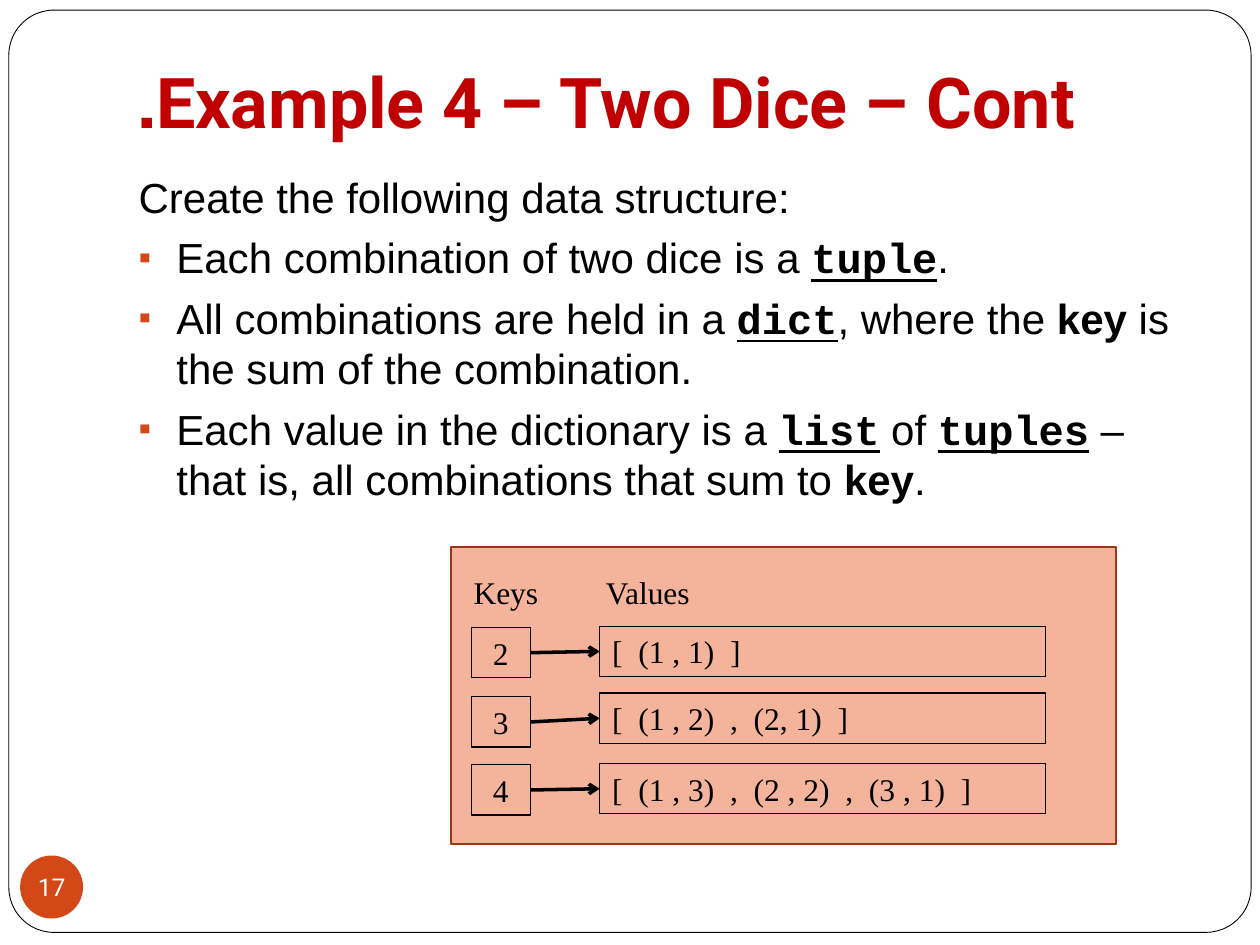
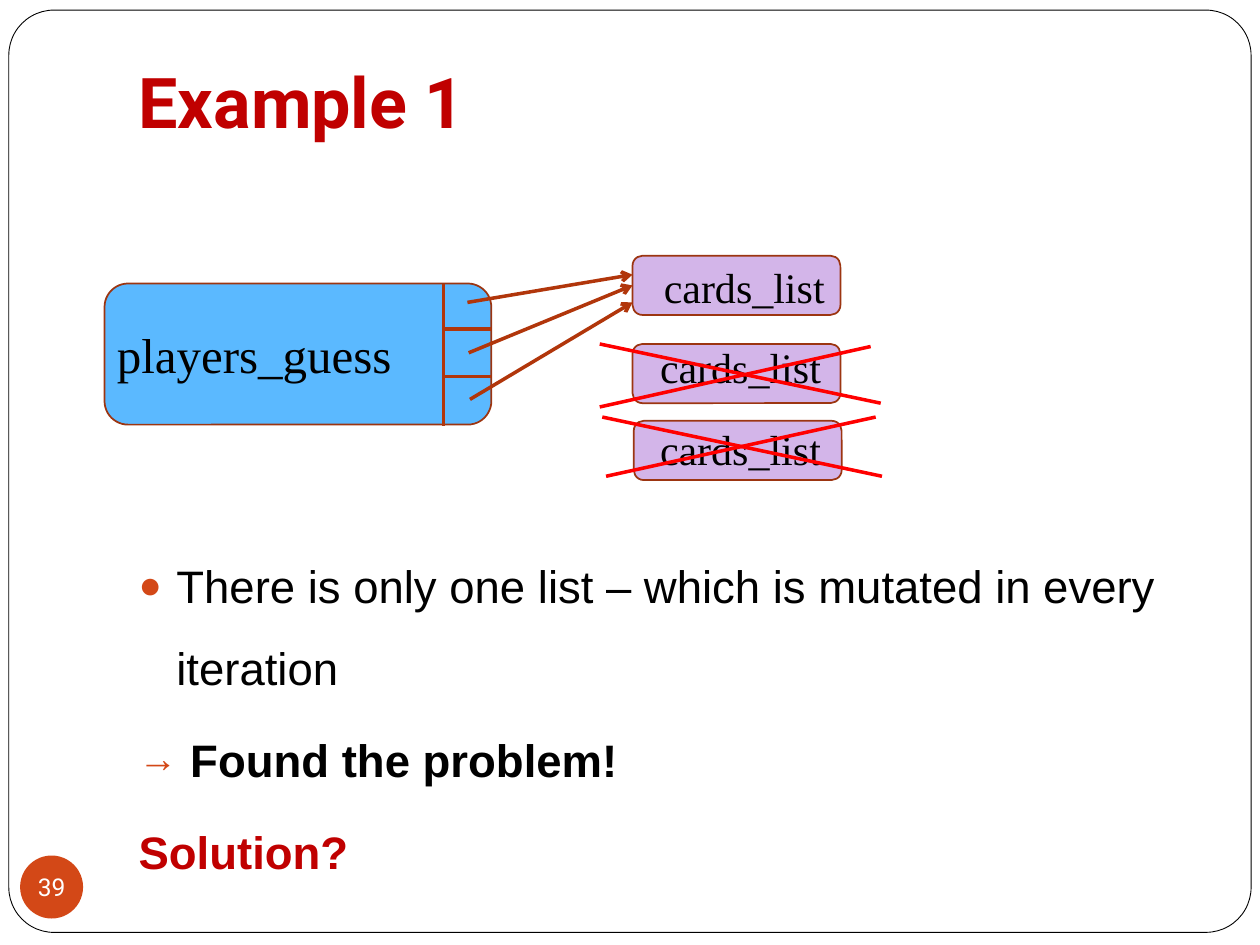
from lxml import etree
from pptx import Presentation
from pptx.dml.color import RGBColor
from pptx.enum.shapes import MSO_CONNECTOR, MSO_SHAPE
from pptx.enum.text import MSO_ANCHOR, MSO_AUTO_SIZE, PP_ALIGN
from pptx.oxml.ns import qn
from pptx.util import Inches, Pt

RECT, ROUND, OVAL = MSO_SHAPE.RECTANGLE, MSO_SHAPE.ROUNDED_RECTANGLE, MSO_SHAPE.OVAL
LEFT, MID = PP_ALIGN.LEFT, PP_ALIGN.CENTER
TOP, CENTER, BASE = MSO_ANCHOR.TOP, MSO_ANCHOR.MIDDLE, MSO_ANCHOR.BOTTOM
STRAIGHT = MSO_CONNECTOR.STRAIGHT
NO_FIT = MSO_AUTO_SIZE.NONE

HUES = {
    "black": "000000", "white": "FFFFFF", "red": "C00000", "cross": "FF0000",
    "accent": "D34817", "edge": "9C3511", "wire": "B1360B",
    "salmon": "F4B39B", "blue": "5BB9FF", "lilac": "D3B5E9",
}
HUE = {name: RGBColor.from_string(code) for name, code in HUES.items()}
SERIF, SANS, HEAD, MONO = "Times New Roman", "Arial", "Roboto", "Courier New"
STYLES = {
    "code": {"font": MONO, "bold": True, "under": True},
    "bold": {"bold": True},
    "alert": {"bold": True, "hue": "red"},
}


def put(shape, *paras, fill=None, line=None, wide=1, size=18, font=SERIF, hue="black",
        bold=False, align=LEFT, anchor=TOP, pads=(0.1, 0.05, 0.1, 0.05), wrap=True):
    """Paint a shape and fill it; a paragraph is a string or a list of (text, style)."""
    shape.shadow.inherit = False
    if fill:
        shape.fill.solid()
        shape.fill.fore_color.rgb = HUE[fill]
    else:
        shape.fill.background()
    if line:
        shape.line.color.rgb = HUE[line]
        shape.line.width = Pt(wide)
    else:
        shape.line.fill.background()
    frame = shape.text_frame
    frame.auto_size = NO_FIT
    frame.word_wrap = wrap
    frame.vertical_anchor = anchor
    frame.margin_left, frame.margin_top, frame.margin_right, frame.margin_bottom = map(Inches, pads)
    for i, para in enumerate(paras):
        p = frame.add_paragraph() if i else frame.paragraphs[0]
        p.alignment = align
        for text, style in [(para, None)] if isinstance(para, str) else para:
            look = STYLES.get(style, {})
            run = p.add_run()
            run.text = text
            run.font.size = Pt(size)
            run.font.name = look.get("font", font)
            run.font.bold = look.get("bold", bold)
            run.font.underline = look.get("under", False)
            run.font.color.rgb = HUE[look.get("hue", hue)]
    return shape


def link(page, start, end, hue, arrow=False):
    wire = page.shapes.add_connector(STRAIGHT, *map(Inches, (*start, *end)))
    wire.line.color.rgb = HUE[hue]
    wire.line.width = Pt(2)
    props = wire.element.spPr
    if arrow:
        etree.SubElement(props.find(qn("a:ln")), qn("a:tailEnd"), type="arrow")
    etree.SubElement(props, qn("a:effectLst"))
    return wire


DICE = [
    (None, [("Create the following data structure:", None)]),
    ("▪", [("Each combination of two dice is a ", None), ("tuple", "code"), (".", None)]),
    ("▪", [("All combinations are held in a ", None), ("dict", "code"), (", where the ", None),
           ("key", "bold"), (" is the sum of the combination.", None)]),
    ("▪", [("Each value in the dictionary is a ", None), ("list", "code"), (" of ", None),
           ("tuples", "code"), (" – that is, all combinations that sum to ", None),
           ("key", "bold"), (".", None)]),
]
GUESS = [
    ("●", [("There is only one list – which is mutated in every iteration", None)]),
    ("→", [("Found the problem!", "bold")]),
    (None, [("Solution?", "alert")]),
]
# number, title, right-to-left title, body top, body height, text size, line spacing, list
PAGES = [
    ("17", "Example 4 – Two Dice – Cont.", True, 1.31, 5, 24, 1, DICE),
    ("39", "Example 1", False, 4.16, 2.85, 26, 1.5, GUESS),
]

deck = Presentation()
deck.slide_width, deck.slide_height = Inches(10), Inches(7.5)
layout = deck.slide_layouts[1]
pages = []

for number, title, rtl, top, high, size, gap, items in PAGES:
    page = deck.slides.add_slide(layout)
    pages.append(page)
    head, body = page.placeholders
    head.left, head.top, head.width, head.height = map(Inches, (1, 0.44, 8.5, 0.79))
    put(head, title, size=40, font=HEAD, hue="red", bold=True, anchor=BASE,
        pads=(0.1, 0.05, 0.1, 0.1))
    if rtl:
        head.text_frame.paragraphs[0]._p.get_or_add_pPr().set("rtl", "1")

    body.left, body.top, body.width, body.height = map(Inches, (1, top, 8.5, high))
    put(body, *[runs for _, runs in items], size=size, font=SANS)
    for i, (p, (mark, _)) in enumerate(zip(body.text_frame.paragraphs, items)):
        p.line_spacing = gap
        p.space_before = Pt(5.8 if i else 0)
        props = p._p.get_or_add_pPr()
        dent = Inches(0.41 if mark == "→" else 0.3)
        props.set("marL", str(dent))
        props.set("indent", str(-dent))
        if mark:
            tint = etree.SubElement(props, qn("a:buClr"))
            etree.SubElement(tint, qn("a:srgbClr"), val=HUES["accent"])
            etree.SubElement(props, qn("a:buSzPct"), val="85000")
            etree.SubElement(props, qn("a:buChar"), char=mark)
        else:
            etree.SubElement(props, qn("a:buNone"))

    badge = page.shapes.add_shape(OVAL, *map(Inches, (0.16, 6.79, 0.5, 0.5)))
    put(badge, number, fill="accent", size=14, font=HEAD, hue="white", align=MID,
        anchor=CENTER, pads=(0, 0, 0, 0), wrap=False)

dice, guess = pages

# The rounded page border belongs to the layout, behind its placeholders
border = dice.shapes.add_shape(ROUND, *map(Inches, (0.07, 0.08, 9.86, 7.32)))
border.adjustments[0] = 0.049
put(border, fill="white", line="black", wide=0.5)
layout.shapes.element.insert(2, border.element)

# Dictionary of dice sums
panel = dice.shapes.add_shape(RECT, *map(Inches, (3.58, 4.34, 5.28, 2.36)))
put(panel, fill="salmon", line="edge")
for label, left, wide in [("Keys", 3.66, 0.79), ("Values", 4.71, 1.08)]:
    put(dice.shapes.add_textbox(*map(Inches, (left, 4.5, wide, 0.4))), label)
ROWS = [
    ("2", 4.98, "[  (1 , 1)  ]", 4.97),
    ("3", 5.53, "[  (1 , 2)  ,  (2, 1)  ]", 5.5),
    ("4", 6.07, "[  (1 , 3)  ,  (2 , 2)  ,  (3 , 1)  ]", 6.06),
]
for total, ktop, combos, vtop in ROWS:
    key = dice.shapes.add_shape(RECT, *map(Inches, (3.74, ktop, 0.47, 0.4)))
    put(key, total, line="black", wide=0.75, align=MID)
    value = dice.shapes.add_shape(RECT, *map(Inches, (4.76, vtop, 3.54, 0.4)))
    put(value, combos, line="black", wide=0.75)
    wire = link(dice, (4.21, ktop + 0.2), (4.76, vtop + 0.2), "black", arrow=True)
    wire.begin_connect(key, 3)
    wire.end_connect(value, 1)

# Three references to one list
owner = guess.shapes.add_shape(ROUND, *map(Inches, (0.83, 2.25, 3.07, 1.12)))
put(owner, fill="blue", line="edge")
put(guess.shapes.add_textbox(*map(Inches, (0.83, 2.53, 2.76, 0.57))), "players_guess", size=28)
cards = []
for left, top, tleft, ttop in [(5.02, 2.03, 5.17, 2.03), (5.02, 2.73, 5.14, 2.66),
                               (5.03, 3.34, 5.14, 3.31)]:
    card = guess.shapes.add_shape(ROUND, *map(Inches, (left, top, 1.65, 0.47)))
    cards.append(put(card, fill="lilac", line="edge"))
    put(guess.shapes.add_textbox(*map(Inches, (tleft, ttop, 1.67, 0.5))), "cards_list", size=24)

link(guess, (3.52, 2.25), (3.52, 3.38), "wire")
for y in (2.61, 2.99):
    link(guess, (3.52, y), (3.9, y), "wire")
arrows = [link(guess, start, (5.02, y), "wire", arrow=True)
          for start, y in [((3.71, 2.4), 2.18), ((3.72, 2.8), 2.26), ((3.73, 3.17), 2.4)]]
arrows[1].end_connect(cards[0], 1)
for start, end in [((4.76, 2.73), (6.99, 3.2)), ((4.76, 3.23), (6.91, 2.75)),
                   ((4.78, 3.31), (7, 3.78)), ((4.81, 3.78), (6.95, 3.31))]:
    link(guess, start, end, "cross")

deck.save("out.pptx")
